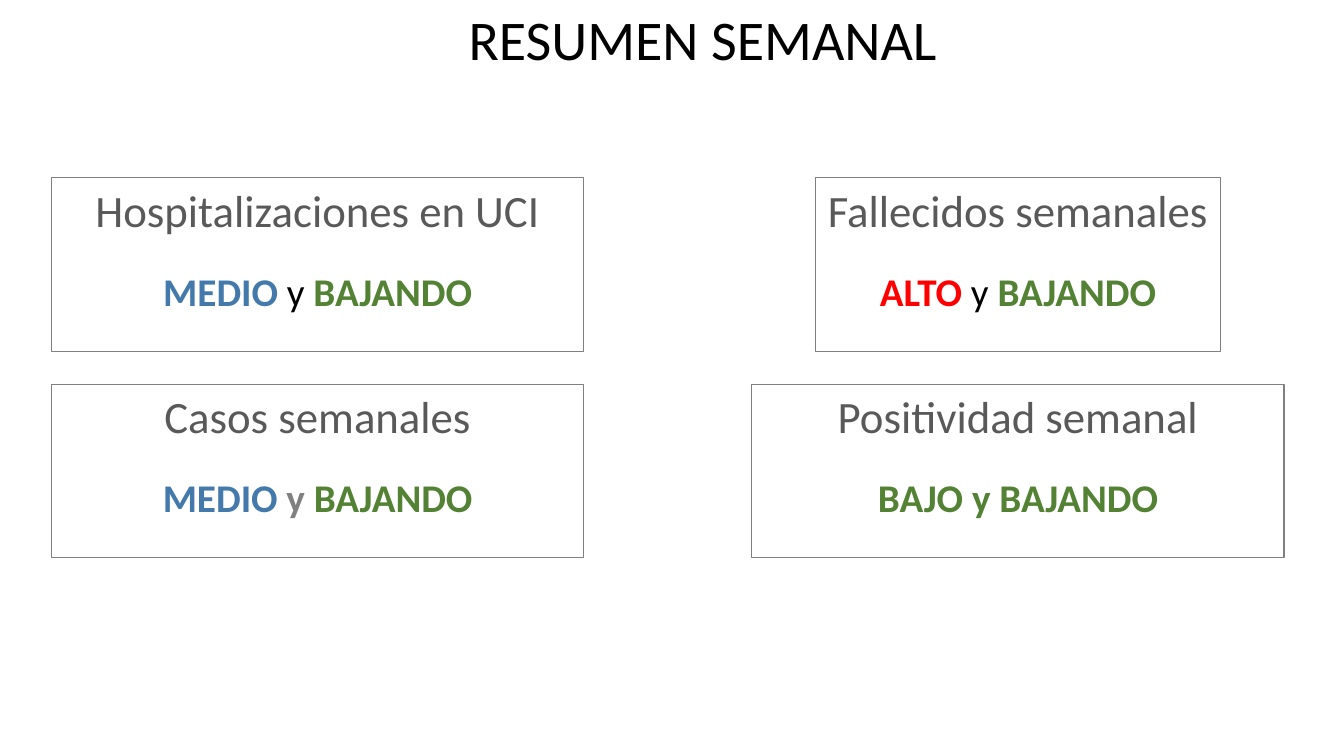
from pptx import Presentation
from pptx import util as u
from pptx.dml.color import RGBColor
from pptx.enum import shapes, text

COLOURS = {
    "black": "000000", "heading": "595959", "grey": "808080",
    "blue": "437AAB", "green": "548235", "red": "FF0000",
}
FONT = "Calibri"
TITLE = "RESUMEN SEMANAL"

WIDE, NARROW = 13.41, 10.19
# Row, column, width in cm, heading, verdict as (words, colour, bold)
CARDS = [
    (0, 0, WIDE, "Hospitalizaciones en UCI",
     [("MEDIO", "blue", True), (" y ", "black", False), ("BAJANDO", "green", True)]),
    (0, 1, NARROW, "Fallecidos semanales",
     [("ALTO", "red", True), (" y ", "black", False), ("BAJANDO", "green", True)]),
    (1, 0, WIDE, "Casos semanales",
     [("MEDIO ", "blue", True), ("y ", "grey", True), ("BAJANDO", "green", True)]),
    (1, 1, WIDE, "Positividad semanal",
     [("BAJO y BAJANDO", "green", True)]),
]
LEFT, TOP, HEIGHT = 1.3, 4.48, 4.37
COLUMN_STEP, ROW_STEP = 17.65, 5.2


def colour(name):
    return RGBColor.from_string(COLOURS[name])


def add_span(para, words, size, shade, bold=False):
    span = para.add_run()
    span.text = words
    for key, value in {"name": FONT, "size": u.Pt(size), "bold": bold}.items():
        setattr(span.font, key, value)
    span.font.color.rgb = colour(shade)


def add_title(page):
    box = page.shapes.add_textbox(u.Cm(11.56), 0, u.Cm(12.42), u.Cm(1.96))
    box.text_frame.word_wrap = False
    add_span(box.text_frame.paragraphs[0], TITLE, 40, "black")


def add_card(page, row, column, width, heading, verdict):
    """Draw one indicator, centred within its column."""
    left = LEFT + column * COLUMN_STEP + (WIDE - width) / 2
    top = TOP + row * ROW_STEP
    box = page.shapes.add_shape(
        shapes.MSO_SHAPE.RECTANGLE,
        u.Cm(left), u.Cm(top), u.Cm(width), u.Cm(HEIGHT))
    box.shadow.inherit = False
    box.fill.background()
    box.line.color.rgb = colour("grey")
    box.line.width = u.Pt(0.75)

    frame = box.text_frame
    frame.word_wrap = width == WIDE
    frame.vertical_anchor = text.MSO_ANCHOR.TOP
    heading_para = frame.paragraphs[0]
    verdict_para = frame.add_paragraph()
    verdict_para.space_before = u.Pt(22)
    for para in (heading_para, verdict_para):
        para.alignment = text.PP_ALIGN.CENTER
    add_span(heading_para, heading, 32, "heading")
    for words, shade, bold in verdict:
        add_span(verdict_para, words, 28, shade, bold)


def main():
    deck = Presentation()
    deck.slide_width, deck.slide_height = u.Cm(33.87), u.Cm(19.05)
    page = deck.slides.add_slide(deck.slide_layouts[6])
    add_title(page)
    for card in CARDS:
        add_card(page, *card)
    deck.save("out.pptx")


if __name__ == "__main__":
    main()
